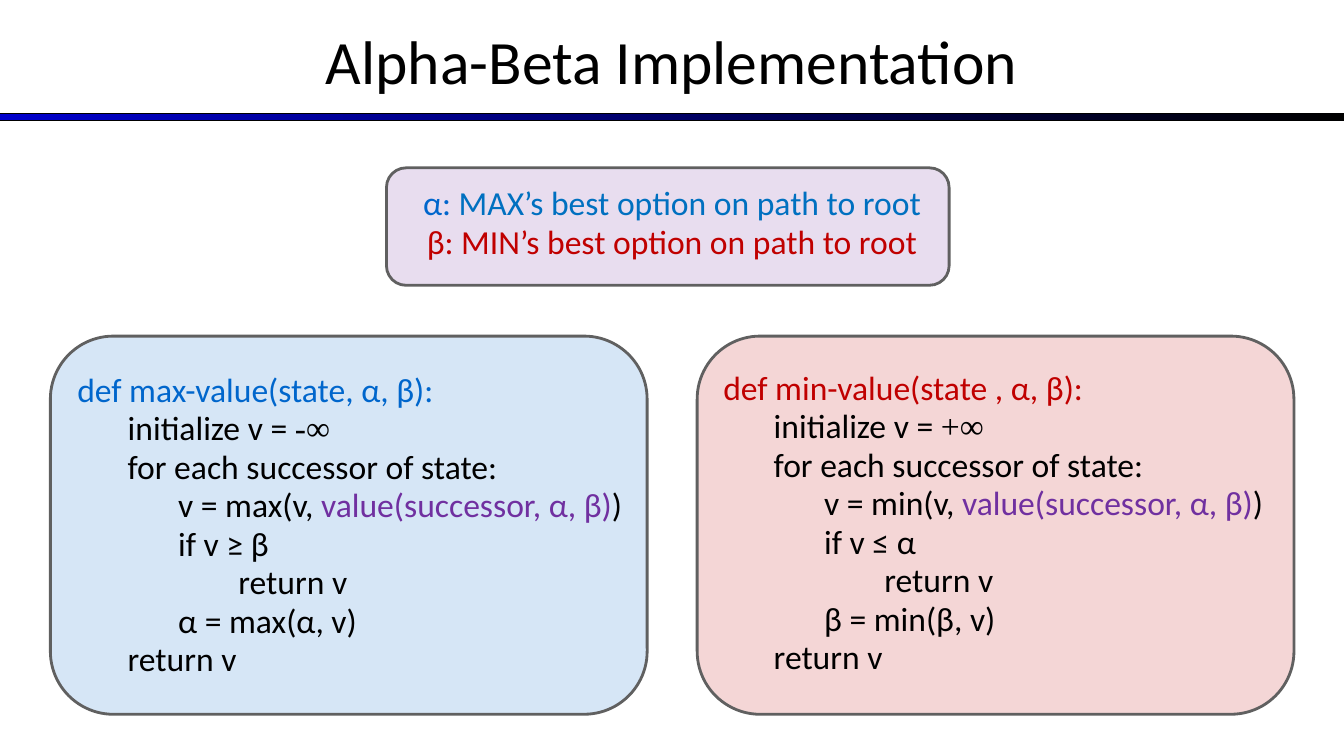
from lxml import etree
from pptx import Presentation
from pptx.dml.color import RGBColor
from pptx.enum.shapes import MSO_SHAPE
from pptx.enum.text import MSO_ANCHOR, PP_ALIGN
from pptx.oxml.ns import qn
from pptx.util import Cm, Pt

RECTANGLE, ROUNDED = MSO_SHAPE.RECTANGLE, MSO_SHAPE.ROUNDED_RECTANGLE
LEFT, CENTER = PP_ALIGN.LEFT, PP_ALIGN.CENTER
TOP, MIDDLE = MSO_ANCHOR.TOP, MSO_ANCHOR.MIDDLE
SANS, SERIF = "Calibri", "Times New Roman"
COLORS = {
    "black": "000000", "bar": "0000CC", "outline": "606060",
    "max": "0066CC", "option": "0070C0", "min": "C00000", "call": "7030A0",
}
INDENTS = [0, 1.27, 2.54, 4.06]


def color(name):
    return RGBColor.from_string(COLORS[name])


def write(lines, left, top, width, height, size=24, align=LEFT, anchor=TOP,
          spacing=0.8, before=4.4):
    box = page.shapes.add_textbox(Cm(left), Cm(top), Cm(width), Cm(height))
    frame = box.text_frame
    frame.word_wrap = True
    frame.vertical_anchor = anchor
    for index, (level, spans) in enumerate(lines):
        para = frame.paragraphs[0] if index == 0 else frame.add_paragraph()
        para.alignment = align
        para.line_spacing = spacing
        para.space_before = Pt(before if index else 0)
        para._p.get_or_add_pPr().set("marL", str(Cm(INDENTS[level])))
        for text, shade, font in spans:
            span = para.add_run()
            span.text = text
            span.font.size = Pt(size)
            span.font.name = font
            span.font.color.rgb = color(shade)


deck = Presentation()
deck.slide_width, deck.slide_height = Cm(33.87), Cm(19.05)
page = deck.slides.add_slide(deck.slide_layouts[6])

bar = page.shapes.add_shape(RECTANGLE, 0, Cm(2.86), deck.slide_width, Cm(0.19))
bar.shadow.inherit = False
bar.fill.gradient()
bar.fill.gradient_angle = 0
for stop, position, shade in zip(bar.fill.gradient_stops, (0, 1), ("bar", "black")):
    stop.position = position
    stop.color.rgb = color(shade)
bar.line.color.rgb = color("black")
bar.line.width = Pt(0.75)

for shade, left, top, width, height in [
    ("min", 17.57, 8.47, 15.04, 9.53),
    ("max", 1.27, 8.47, 15.04, 9.53),
    ("call", 9.74, 4.23, 14.18, 2.96),
]:
    panel = page.shapes.add_shape(ROUNDED, Cm(left), Cm(top), Cm(width), Cm(height))
    panel.shadow.inherit = False
    panel.fill.solid()
    panel.fill.fore_color.rgb = color(shade)
    tint = panel._element.spPr.find(qn("a:solidFill")).find(qn("a:srgbClr"))
    etree.SubElement(tint, qn("a:alpha")).set("val", "16000")
    panel.line.color.rgb = color("outline")
    panel.line.width = Pt(2)

write([(0, [("Alpha-Beta Implementation", "black", SANS)])],
      0, -0.08, 33.87, 3.18, size=44, align=CENTER, anchor=MIDDLE, spacing=1)

for shade, left, top, header, name, infinity, test, update in [
    ("min", 17.98, 9.32, "def min-value(state , α, β):", "min", "+∞",
     "if v ≤ α", "β = min(β, v)"),
    ("max", 1.7, 9.37, "def max-value(state, α, β):", "max", "-∞",
     "if v ≥ β", "α = max(α, v)"),
]:
    write([
        (0, [(header, shade, SANS)]),
        (1, [("initialize v = ", "black", SANS), (infinity, "black", SERIF)]),
        (1, [("for each successor of state:", "black", SANS)]),
        (2, [(f"v = {name}(v, ", "black", SANS),
             ("value(successor, α, β)", "call", SANS), (")", "black", SANS)]),
        (2, [(test, "black", SANS)]),
        (3, [("return v", "black", SANS)]),
        (2, [(update, "black", SANS)]),
        (1, [("return v", "black", SANS)]),
    ], left, top, 14.82, 8)

write([
    (1, [("α: ", "max", SANS), ("MAX’s best option on path to root", "option", SANS)]),
    (1, [("β: MIN’s best option on path to root", "min", SANS)]),
], 0, 4.66, 32.6, 2.5, align=CENTER)

deck.save("out.pptx")
